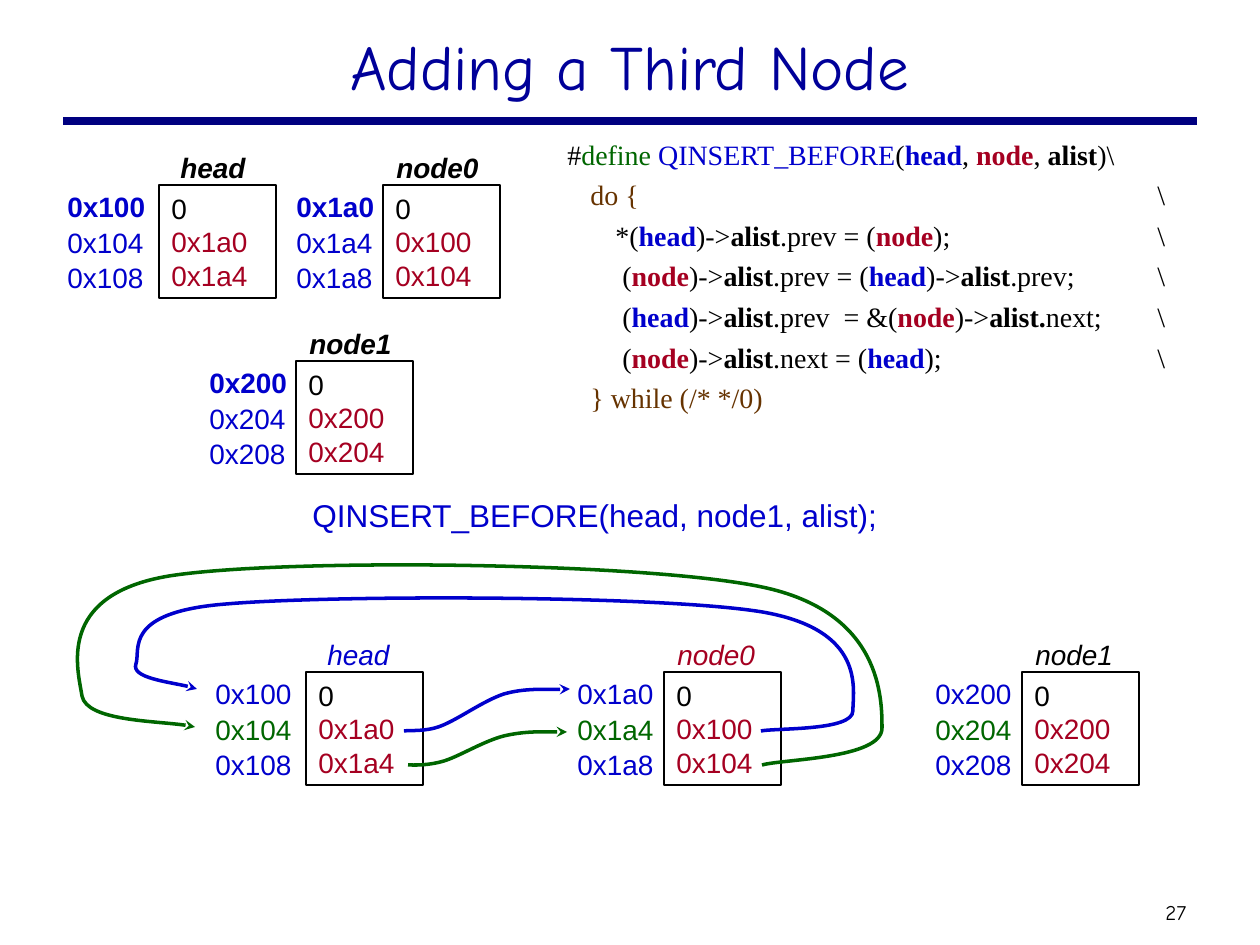
from dataclasses import dataclass
from typing import NamedTuple

from lxml import etree
from pptx import Presentation
from pptx.dml.color import RGBColor
from pptx.enum.shapes import MSO_CONNECTOR, MSO_SHAPE
from pptx.enum.text import MSO_ANCHOR, MSO_AUTO_SIZE, PP_ALIGN
from pptx.oxml.ns import qn
from pptx.util import Emu, Pt

EMU_PER_PX = 914400 / 126
RECT = MSO_SHAPE.RECTANGLE
STRAIGHT = MSO_CONNECTOR.STRAIGHT
TOP, MIDDLE = MSO_ANCHOR.TOP, MSO_ANCHOR.MIDDLE
GROW, FIXED = MSO_AUTO_SIZE.SHAPE_TO_FIT_TEXT, MSO_AUTO_SIZE.NONE
LEFT, CENTER = PP_ALIGN.LEFT, PP_ALIGN.CENTER

COLORS = {
    "black": "000000", "white": "FFFFFF", "navy": "000080", "title": "000099",
    "blue": "0000CC", "red": "A50021", "green": "006600", "brown": "663300",
}
LABEL_FRAME = {"word_wrap": False, "auto_size": GROW, "vertical_anchor": TOP}
BOX_FRAME = {"word_wrap": True, "auto_size": GROW, "vertical_anchor": TOP}
CODE_FRAME = {"word_wrap": True, "auto_size": FIXED, "vertical_anchor": TOP}
HEADING_FRAME = {"word_wrap": True, "auto_size": FIXED, "vertical_anchor": MIDDLE}

BOX_WIDTH, BOX_HEIGHT = 117, 113
NAME_RISE = 41
ADDRESS_WIDTH = 106
ADDRESS_OFFSETS = (-2, 34, 69)
CODE_TABS = (23, 48, 69, 347, 590)


class Span(NamedTuple):
    text: str
    color: str = "black"
    bold: bool = False
    italic: bool = False
    size: int = 16
    font: str = "Arial"


class Area(NamedTuple):
    left: int
    top: int
    width: int
    height: int


@dataclass
class Node:
    name: str
    left: int
    top: int
    name_shift: int
    name_width: int
    address_shift: int
    addresses: tuple[str, ...]
    values: tuple[str, ...]
    name_color: str = "black"
    in_memory_table: bool = False


@dataclass
class Pointer:
    color: str
    points: list[tuple[int, int]]


HEAD_ADDRESSES = ("0x100", "0x104", "0x108")
NODE0_ADDRESSES = ("0x1a0", "0x1a4", "0x1a8")
NODE1_ADDRESSES = ("0x200", "0x204", "0x208")
HEAD_VALUES = ("0", "0x1a0", "0x1a4")
NODE0_VALUES = ("0", "0x100", "0x104")
NODE1_VALUES = ("0", "0x200", "0x204")

NODES = [
    Node("head", 159, 185, 9, 102, -104, HEAD_ADDRESSES, HEAD_VALUES, in_memory_table=True),
    Node("node0", 383, 185, 1, 116, -99, NODE0_ADDRESSES, NODE0_VALUES, in_memory_table=True),
    Node("node1", 296, 361, 1, 116, -99, NODE1_ADDRESSES, NODE1_VALUES, in_memory_table=True),
    Node("node1", 1022, 672, 1, 112, -99, NODE1_ADDRESSES, NODE1_VALUES),
    Node("head", 306, 672, 9, 98, -103, HEAD_ADDRESSES, HEAD_VALUES, "blue"),
    Node("node0", 664, 672, 1, 112, -99, NODE0_ADDRESSES, NODE0_VALUES, "red"),
]

POINTERS = [
    Pointer("blue", [(404, 731), (411, 730), (425, 732), (441, 726), (459, 719),
                     (483, 701), (504, 694), (525, 688), (556, 690), (570, 689)]),
    Pointer("blue", [(761, 731), (777, 728), (853, 731), (853, 711), (853, 690), (867, 630),
                     (762, 612), (658, 595), (331, 595), (227, 604), (122, 612), (141, 650),
                     (136, 664), (131, 678), (184, 684), (197, 689)]),
    Pointer("green", [(408, 765), (413, 765), (427, 766), (444, 761), (460, 756),
                      (484, 741), (504, 736), (525, 731), (554, 732), (567, 732)]),
    Pointer("green", [(762, 765), (782, 759), (882, 759), (882, 728), (882, 699), (882, 612),
                      (762, 587), (644, 562), (282, 558), (169, 576), (55, 595), (78, 670),
                      (82, 696), (87, 721), (171, 721), (195, 727)]),
]


def code(text: str, color: str = "black", bold: bool = False) -> Span:
    return Span(text, color, bold, font="Times New Roman")


HEAD, NODE, ALIST = code("head", "blue", True), code("node", "red", True), code("alist", bold=True)
MACRO = [
    [code("#"), code("define ", "green"), code("QINSERT_BEFORE", "blue"), code("("), HEAD,
     code(", "), NODE, code(", "), ALIST, code(")\\")],
    [code("\t"), code("do {\t\t", "brown"), code("\\")],
    [code("\t\t*("), HEAD, code(")->"), ALIST, code(".prev = ("), NODE, code("); \t\\")],
    [code("\t\t ("), NODE, code(")->"), ALIST, code(".prev = ("), HEAD, code(")->"), ALIST,
     code(".prev; \t\\")],
    [code("\t\t ("), HEAD, code(")->"), ALIST, code(".prev  = &("), NODE, code(")->"),
     code("alist.", bold=True), code("next;\t\\")],
    [code("\t\t ("), NODE, code(")->"), ALIST, code(".next = ("), HEAD, code(");\t\\")],
    [code("\t"), code("} while (/* */0)", "brown")],
]


def px(length: int) -> Emu:
    return Emu(round(length * EMU_PER_PX))


def rgb(color: str) -> RGBColor:
    return RGBColor.from_string(COLORS[color])


def write(shape, lines: list[list[Span]], frame_format: dict, align=LEFT) -> None:
    frame = shape.text_frame
    for attribute, value in frame_format.items():
        setattr(frame, attribute, value)
    for index, spans in enumerate(lines):
        paragraph = frame.add_paragraph() if index else frame.paragraphs[0]
        paragraph.alignment = align
        for span in spans:
            run = paragraph.add_run()
            run.text = span.text
            run.font.color.rgb = rgb(span.color)
            font_format = {"name": span.font, "size": Pt(span.size),
                           "bold": span.bold, "italic": span.italic}
            for attribute, value in font_format.items():
                setattr(run.font, attribute, value)


def draw_label(shapes, area: Area, span: Span, frame_format: dict = LABEL_FRAME, align=LEFT) -> None:
    write(shapes.add_textbox(*map(px, area)), [[span]], frame_format, align)


def draw_box(shapes, area: Area, lines: list[list[Span]], frame_format: dict):
    box = shapes.add_shape(RECT, *map(px, area))
    box.shadow.inherit = False
    write(box, lines, frame_format)
    return box


def draw_node(shapes, node: Node) -> None:
    members = shapes.add_group_shape().shapes
    values = [[Span(value, "red" if row else "black")] for row, value in enumerate(node.values)]
    box = draw_box(members, Area(node.left, node.top, BOX_WIDTH, BOX_HEIGHT), values, BOX_FRAME)
    box.fill.background()
    box.line.color.rgb = rgb("black")
    box.line.width = Pt(0.75)
    draw_label(members, Area(node.left + node.name_shift, node.top - NAME_RISE, node.name_width, 47),
               Span(node.name, node.name_color, node.in_memory_table, True))
    for row, (address, offset) in enumerate(zip(node.addresses, ADDRESS_OFFSETS)):
        color = "green" if row == 1 and not node.in_memory_table else "blue"
        draw_label(members, Area(node.left + node.address_shift, node.top + offset, ADDRESS_WIDTH, 47),
                   Span(address, color, node.in_memory_table and row == 0))


def draw_macro(shapes) -> None:
    macro = draw_box(shapes, Area(555, 131, 673, 307), MACRO, CODE_FRAME)
    macro.fill.solid()
    macro.fill.fore_color.rgb = rgb("white")
    macro.line.fill.background()
    for paragraph in macro.text_frame.paragraphs:
        paragraph.space_before = Pt(4)
        tabs = etree.SubElement(paragraph._p.get_or_add_pPr(), qn("a:tabLst"))
        for position in CODE_TABS:
            etree.SubElement(tabs, qn("a:tab"), pos=str(px(position)), algn="l")


def draw_pointer(shapes, pointer: Pointer) -> None:
    start, *controls = pointer.points
    builder = shapes.build_freeform(*start, scale=EMU_PER_PX)
    builder.add_line_segments(controls, close=False)
    curve = builder.convert_to_shape()
    curve.shadow.inherit = False
    curve.fill.background()
    curve.line.color.rgb = rgb(pointer.color)
    curve.line.width = Pt(2)
    etree.SubElement(curve.line._get_or_add_ln(), qn("a:tailEnd"), type="stealth")
    outline = curve._element.find(".//" + qn("a:path"))
    for index, segment in enumerate(outline.findall(qn("a:lnTo"))):
        if index % 3 == 0:
            bezier = etree.SubElement(outline, qn("a:cubicBezTo"))
        bezier.append(segment[0])
        outline.remove(segment)


def main() -> None:
    deck = Presentation()
    deck.slide_width, deck.slide_height = px(1260), px(945)
    shapes = deck.slides.add_slide(deck.slide_layouts[6]).shapes

    rule = shapes.add_connector(STRAIGHT, px(63), px(121), px(1197), px(121))
    rule.line.color.rgb = rgb("navy")
    rule.line.width = Pt(4.5)
    etree.SubElement(rule._element.spPr, qn("a:effectLst"))

    draw_label(shapes, Area(1153, 893, 59, 38), Span("27", size=12, font="Comic Neue"), HEADING_FRAME)
    draw_label(shapes, Area(94, 11, 1071, 108),
               Span("Adding a Third Node", "title", size=36, font="Comic Neue"), HEADING_FRAME, CENTER)
    draw_label(shapes, Area(300, 490, 591, 50),
               Span("QINSERT_BEFORE(head, node1, alist);", "blue", size=18))
    draw_macro(shapes)
    for node in NODES:
        draw_node(shapes, node)
    for pointer in POINTERS:
        draw_pointer(shapes, pointer)
    deck.save("out.pptx")


if __name__ == "__main__":
    main()
